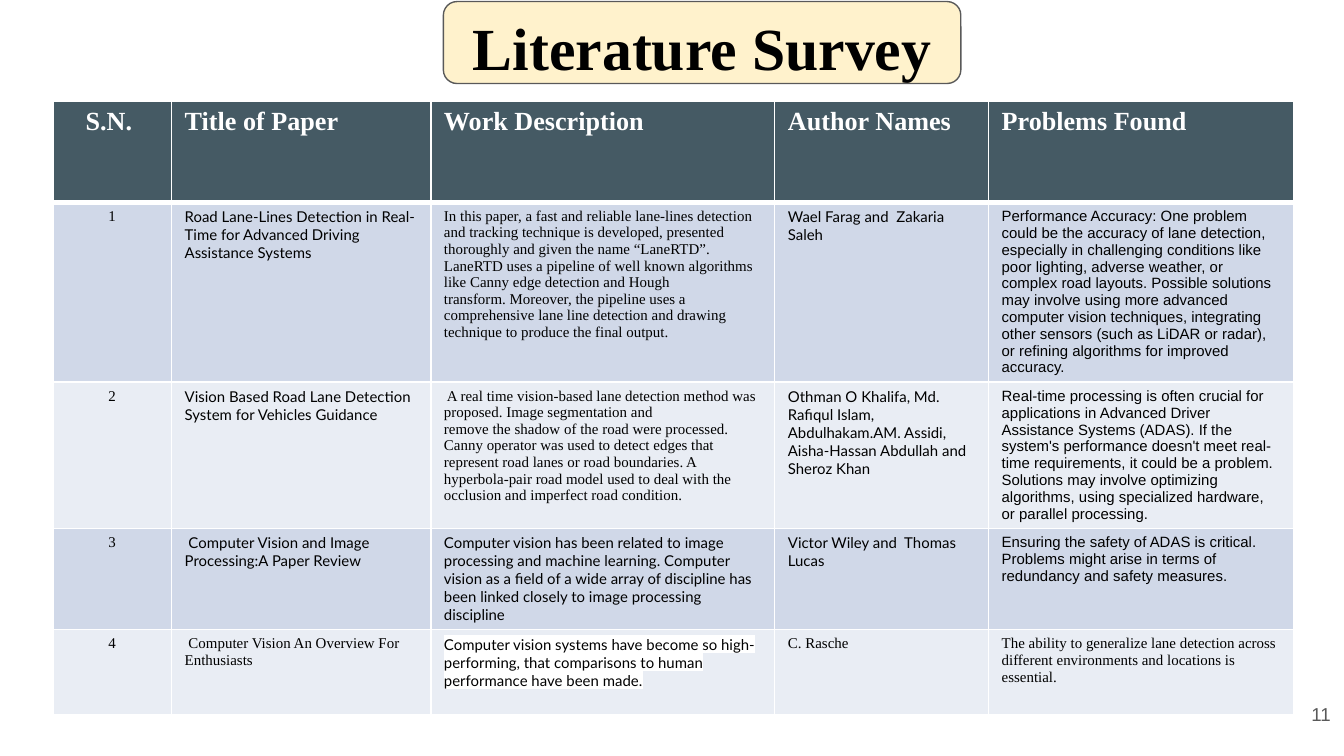
"""Build the literature survey slide with its table of reviewed papers."""
from typing import NamedTuple

from lxml.etree import SubElement
from pptx import Presentation
from pptx.dml.color import RGBColor
from pptx.enum.shapes import MSO_SHAPE
from pptx.enum.text import MSO_ANCHOR, PP_ALIGN
from pptx.oxml.ns import qn
from pptx.util import Cm, Pt

SERIF, SANS, LATO = "Times New Roman", "Arial", "Lato"
BLACK, WHITE, GREY = "000000", "FFFFFF", "595959"
HEADER_FILL, BAND_FILLS = "455A64", ("D0D8E8", "E9EDF4")
COLUMN_WIDTHS = (2.24, 4.9, 6.5, 4.04, 5.77)
ROW_HEIGHTS = (1.9, 2.82, 1.7, 1.55, 1.6)
HEADINGS = ("S.N. ", "Title of Paper", "Work Description", "Author Names", "Problems Found")


class Entry(NamedTuple):
    """Text of one table cell with its font and highlight."""
    text: str
    font: str = LATO
    highlight: str | None = None


class Paper(NamedTuple):
    """One reviewed paper."""
    title: Entry
    work: Entry
    authors: Entry
    problems: Entry


PAPERS = (
    Paper(
        Entry("Road Lane-Lines Detection in Real-Time for Advanced Driving Assistance Systems"),
        Entry("In this paper, a fast and reliable lane-lines detection and tracking technique is "
              "developed, presented thoroughly and given the name “LaneRTD”. LaneRTD uses a "
              "pipeline of well known algorithms like Canny edge detection and Hough\n"
              "transform. Moreover, the pipeline uses a comprehensive lane line detection and "
              "drawing technique to produce the final output.", SERIF),
        Entry("Wael Farag and  Zakaria Saleh"),
        Entry("Performance Accuracy: One problem could be the accuracy of lane detection, "
              "especially in challenging conditions like poor lighting, adverse weather, or "
              "complex road layouts. Possible solutions may involve using more advanced computer "
              "vision techniques, integrating other sensors (such as LiDAR or radar), or refining "
              "algorithms for improved accuracy.", SANS),
    ),
    Paper(
        Entry("Vision Based Road Lane Detection System for Vehicles Guidance"),
        Entry(" A real time vision-based lane detection method was proposed. Image segmentation "
              "and\nremove the shadow of the road were processed. Canny operator was used to "
              "detect edges that represent road lanes or road boundaries. A hyperbola-pair road "
              "model used to deal with the occlusion and imperfect road condition.", SERIF),
        Entry("Othman O Khalifa, Md. Rafiqul Islam, Abdulhakam.AM. Assidi,\n"
              "Aisha-Hassan Abdullah and Sheroz Khan"),
        Entry("Real-time processing is often crucial for applications in Advanced Driver "
              "Assistance Systems (ADAS). If the system's performance doesn't meet real-time "
              "requirements, it could be a problem. Solutions may involve optimizing algorithms, "
              "using specialized hardware, or parallel processing.", SANS),
    ),
    Paper(
        Entry(" Computer Vision and Image Processing:A Paper Review"),
        Entry("Computer vision has been related to image processing and machine learning. "
              "Computer vision as a field of a wide array of discipline has been linked closely "
              "to image processing discipline"),
        Entry("Victor Wiley and  Thomas Lucas"),
        Entry("Ensuring the safety of ADAS is critical. Problems might arise in terms of "
              "redundancy and safety measures.", SANS),
    ),
    Paper(
        Entry(" Computer Vision An Overview For Enthusiasts", SERIF),
        Entry("Computer vision systems have become so high-performing, that comparisons to human "
              "performance have been made.", LATO, WHITE),
        Entry("C. Rasche", SERIF),
        Entry("The ability to generalize lane detection across different environments and "
              "locations is essential.", SERIF),
    ),
)


def color(hex_value: str) -> RGBColor:
    return RGBColor.from_string(hex_value)


def write(frame, text: str, *, size: float, font: str, ink: str = BLACK, bold: bool = False,
          align=PP_ALIGN.LEFT, highlight: str | None = None) -> None:
    paragraph = frame.paragraphs[0]
    paragraph.text = text
    paragraph.alignment = align
    for line_break in paragraph._p.findall(qn("a:br")):
        SubElement(line_break, qn("a:rPr"), sz=str(int(size * 100)))
    for run in paragraph.runs:
        run.font.size, run.font.bold, run.font.name = Pt(size), bold, font
        run.font.color.rgb = color(ink)
        if highlight:
            properties = run._r.get_or_add_rPr()
            marker = SubElement(properties, qn("a:highlight"))
            SubElement(marker, qn("a:srgbClr"), val=highlight)
            properties.find(qn("a:solidFill")).addnext(marker)


def style_cell(cell, fill: str, top: float, bottom: float) -> None:
    properties = cell._tc.get_or_add_tcPr()
    for side, width in (("L", 1), ("R", 1), ("T", top), ("B", bottom)):
        border = SubElement(properties, qn(f"a:ln{side}"), w=str(Pt(width)))
        SubElement(SubElement(border, qn("a:solidFill")), qn("a:srgbClr"), val=WHITE)
    cell.fill.solid()
    cell.fill.fore_color.rgb = color(fill)
    cell.margin_left = cell.margin_right = Cm(0.25)
    cell.margin_top = cell.margin_bottom = Cm(0.11)


def add_survey(slide) -> None:
    survey = slide.shapes.add_table(
        len(ROW_HEIGHTS), len(COLUMN_WIDTHS), Cm(1), Cm(1.92),
        Cm(sum(COLUMN_WIDTHS)), Cm(sum(ROW_HEIGHTS))).table
    for column, width in zip(survey.columns, COLUMN_WIDTHS):
        column.width = Cm(width)
    for row, height in zip(survey.rows, ROW_HEIGHTS):
        row.height = Cm(height)

    for index, heading in enumerate(HEADINGS):
        cell = survey.cell(0, index)
        style_cell(cell, HEADER_FILL, 1, 3)
        write(cell.text_frame, heading, size=14, font=SERIF, ink=WHITE, bold=True,
              align=PP_ALIGN.LEFT if index else PP_ALIGN.CENTER)

    for number, paper in enumerate(PAPERS, start=1):
        for index, entry in enumerate((Entry(str(number), SERIF), *paper)):
            cell = survey.cell(number, index)
            style_cell(cell, BAND_FILLS[(number - 1) % 2], 3 if number == 1 else 1, 1)
            write(cell.text_frame, entry.text, size=8, font=entry.font,
                  highlight=entry.highlight, align=PP_ALIGN.LEFT if index else PP_ALIGN.CENTER)


def add_label(slide, text: str, left: float, top: float, width: float, height: float,
              anchor=MSO_ANCHOR.TOP, **text_format) -> None:
    frame = slide.shapes.add_textbox(Cm(left), Cm(top), Cm(width), Cm(height)).text_frame
    frame.word_wrap = True
    frame.vertical_anchor = anchor
    frame.margin_left = frame.margin_right = frame.margin_top = frame.margin_bottom = Cm(0.25)
    write(frame, text, **text_format)


def add_title_plate(slide) -> None:
    plate = slide.shapes.add_shape(
        MSO_SHAPE.ROUNDED_RECTANGLE, Cm(8.38), Cm(0.03), Cm(9.78), Cm(1.55))
    plate.shadow.inherit = False
    plate.fill.solid()
    plate.fill.fore_color.rgb = color("FFF2CC")
    plate.line.color.rgb = color(GREY)
    plate.line.width = Pt(0.75)


def main() -> None:
    presentation = Presentation()
    presentation.slide_width, presentation.slide_height = Cm(25.4), Cm(14.29)
    slide = presentation.slides.add_slide(presentation.slide_layouts[6])
    add_survey(slide)
    add_title_plate(slide)
    add_label(slide, "Literature Survey", 8.69, -0.05, 12.78, 1.88,
              size=32, font=SERIF, bold=True)
    add_label(slide, "11", 23.88, 12.95, 1.52, 1.09, anchor=MSO_ANCHOR.MIDDLE,
              size=10, font=SANS, ink=GREY, align=PP_ALIGN.RIGHT)
    presentation.save("out.pptx")


if __name__ == "__main__":
    main()
